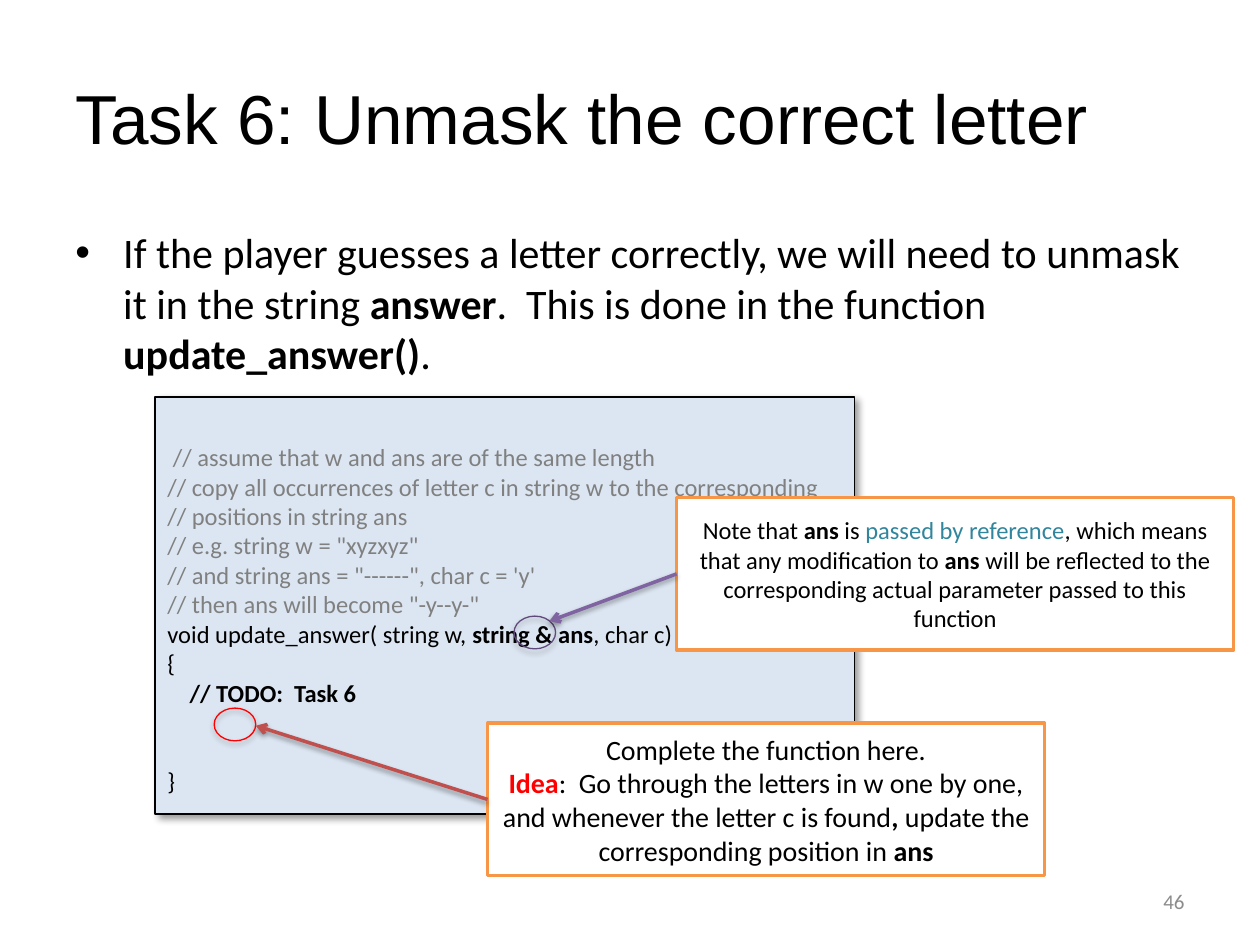
from dataclasses import dataclass
from lxml.etree import SubElement
from pptx import Presentation
from pptx.dml.color import RGBColor
from pptx.enum.shapes import MSO_CONNECTOR as Connector, MSO_SHAPE as Shape
from pptx.enum.text import MSO_ANCHOR as Anchor, PP_ALIGN as Align
from pptx.oxml.ns import qn
from pptx.util import Emu, Inches, Pt


@dataclass(frozen=True)
class Theme:
    title_font: str = "Arial"
    body_font: str = "Calibri"
    title_size: float = 39.6
    body_size: float = 24
    idea_size: float = 16
    code_size: float = 14
    number_size: float = 12
    ink: str = "000000"
    paper: str = "FFFFFF"
    comment: str = "808080"
    number: str = "8C8C8C"
    code_fill: str = "DCE6F2"
    note_line: str = "F79646"
    idea: str = "FF0000"
    todo_arrow: str = "C0504D"
    reference: str = "31859C"
    reference_ring: str = "604A7B"
    reference_arrow: str = "8064A2"
    thin: float = 0.75
    thick: float = 2


@dataclass(frozen=True)
class Shadow:
    opacity: int
    blur: float
    distance: float
    angle: int


PANEL_SHADOW = Shadow(40, 4, 3, 45)
RING_SHADOW = Shadow(35, 3.1, 1.8, 90)
ARROW_SHADOW = Shadow(38, 3.1, 1.6, 90)


class SlideBuilder:
    """Places elements on a grid of 20 columns and 15 rows."""

    COLUMNS, ROWS = 20, 15

    def __init__(self, deck, theme):
        self.deck, self.theme = deck, theme
        self.slide = deck.slides.add_slide(deck.slide_layouts[5])

    def x(self, columns):
        return Emu(round(self.deck.slide_width * columns / self.COLUMNS))

    def y(self, rows):
        return Emu(round(self.deck.slide_height * rows / self.ROWS))

    def area(self, left, top, width, height):
        return self.x(left), self.y(top), self.x(width), self.y(height)

    def add_runs(self, frame, paragraphs, size, align=Align.LEFT, anchor=Anchor.MIDDLE, font=None):
        """Each paragraph is a list of (text, bold, colour) runs; the last two may be left out."""
        frame.word_wrap = True
        frame.vertical_anchor = anchor
        for index, runs in enumerate(paragraphs):
            paragraph = frame.paragraphs[0] if index == 0 else frame.add_paragraph()
            paragraph.alignment = align
            for text, *style in runs:
                bold, colour = style + [False, self.theme.ink][len(style):]
                run = paragraph.add_run()
                run.text = text
                run.font.name = font or self.theme.body_font
                run.font.size = Pt(size)
                run.font.bold = bold
                run.font.color.rgb = RGBColor.from_string(colour)

    def shade(self, shape, shadow):
        effects = shape._element.spPr.find(qn("a:effectLst"))
        if effects is None:
            effects = SubElement(shape._element.spPr, qn("a:effectLst"))
        outer = SubElement(effects, qn("a:outerShdw"), blurRad=str(Pt(shadow.blur)),
                           dist=str(Pt(shadow.distance)), dir=str(shadow.angle * 60000),
                           rotWithShape="0")
        black = SubElement(outer, qn("a:srgbClr"), val=self.theme.ink)
        SubElement(black, qn("a:alpha"), val=str(shadow.opacity * 1000))

    def title(self, text, *area):
        heading = self.slide.shapes.title
        heading.left, heading.top, heading.width, heading.height = self.area(*area)
        self.add_runs(heading.text_frame, [[(text,)]], self.theme.title_size,
                      font=self.theme.title_font)

    def text(self, paragraphs, size, *area, **layout):
        box = self.slide.shapes.add_textbox(*self.area(*area))
        self.add_runs(box.text_frame, paragraphs, size, **layout)
        return box

    def bullet(self, runs, *area):
        frame = self.text([runs], self.theme.body_size, *area, anchor=Anchor.TOP).text_frame
        properties = frame.paragraphs[0]._p.get_or_add_pPr()
        indent = Inches(0.38)
        properties.set("marL", str(indent))
        properties.set("indent", str(-indent))
        SubElement(properties, qn("a:buFont"), typeface="Arial")
        SubElement(properties, qn("a:buChar"), char="•")

    def shape(self, kind, line, weight, *area, fill=None, shadow=None):
        shape = self.slide.shapes.add_shape(kind, *self.area(*area))
        shape.shadow.inherit = False
        if fill:
            shape.fill.solid()
            shape.fill.fore_color.rgb = RGBColor.from_string(fill)
        else:
            shape.fill.background()
        shape.line.color.rgb = RGBColor.from_string(line)
        shape.line.width = Pt(weight)
        if shadow:
            self.shade(shape, shadow)
        return shape

    def code(self, lines, *area):
        panel = self.shape(Shape.RECTANGLE, self.theme.ink, self.theme.thin, *area,
                           fill=self.theme.code_fill, shadow=PANEL_SHADOW)
        frame = panel.text_frame
        frame.margin_top = Inches(0.36)
        self.add_runs(frame, lines, self.theme.code_size, anchor=Anchor.TOP)
        return frame

    def ring(self, colour, left, top):
        self.shape(Shape.OVAL, colour, self.theme.thin, left, top, 0.66, 0.52,
                   shadow=RING_SHADOW)

    def note(self, paragraphs, size, left, top):
        box = self.shape(Shape.RECTANGLE, self.theme.note_line, self.theme.thick,
                         left, top, 8.84, 2.42, fill=self.theme.paper)
        self.add_runs(box.text_frame, paragraphs, size, align=Align.CENTER)
        return box

    def arrow(self, colour, tip_column, tip_row, note):
        """Points from the left side of a note to the tip."""
        tip = self.x(tip_column), self.y(tip_row)
        arrow = self.slide.shapes.add_connector(Connector.STRAIGHT, *tip, *tip)
        arrow.end_connect(note, 1)
        arrow.line.color.rgb = RGBColor.from_string(colour)
        arrow.line.width = Pt(self.theme.thick)
        SubElement(arrow.line._get_or_add_ln(), qn("a:headEnd"), type="arrow")
        self.shade(arrow, ARROW_SHADOW)


def main():
    deck = Presentation()
    deck.slide_width, deck.slide_height = Inches(10), Inches(7.5)
    theme = Theme()
    page = SlideBuilder(deck, theme)

    page.title("Task 6: Unmask the correct letter", 1, 0.6, 18, 2.5)
    page.bullet([
        ("If the player guesses a letter correctly, we will need to unmask it in the string ",),
        ("answer", True), (".  This is done in the function ",),
        ("update_answer()", True), (".",)], 1, 3.5, 18, 2.8)
    page.text([[("46", False, theme.number)]], theme.number_size,
              14.34, 13.9, 4.66, 0.8, align=Align.RIGHT)

    comments = [
        " // assume that w and ans are of the same length",
        "// copy all occurrences of letter c in string w to the corresponding",
        "// positions in string ans",
        "// e.g. string w = \"xyzxyz\"",
        "// and string ans = \"------\", char c = 'y'",
        "// then ans will become \"-y--y-\""]
    code = page.code([[(comment, False, theme.comment)] for comment in comments] + [
        [("void update_answer( string w, ",), ("string & ans", True), (", char c)",)],
        [("{",)],
        [("    ",), ("// TODO:  Task 6", True)],
        [("}",)]], 2.46, 6.3, 11.1, 6.62)
    code.paragraphs[-1].space_before = Pt(34)

    page.ring(theme.idea, 3.4, 11.24)
    idea = page.note([
        [("Complete the function here.",)],
        [("Idea", True, theme.idea),
         (":  Go through the letters in w one by one, and whenever the letter c is found",),
         (", ", True), ("update the corresponding position in ",), ("ans", True)]],
        theme.idea_size, 7.74, 11.48)
    page.arrow(theme.todo_arrow, 4.06, 11.52, idea)

    page.ring(theme.reference_ring, 8.16, 9.78)
    reference = page.note([[
        ("Note that ",), ("ans", True), (" is ",),
        ("passed by reference", False, theme.reference),
        (", which means that any modification to ",), ("ans", True),
        (" will be reflected to the corresponding actual parameter passed to this function",)]],
        theme.code_size, 10.74, 7.9)
    page.arrow(theme.reference_arrow, 8.72, 9.86, reference)

    deck.save("out.pptx")


if __name__ == "__main__":
    main()
